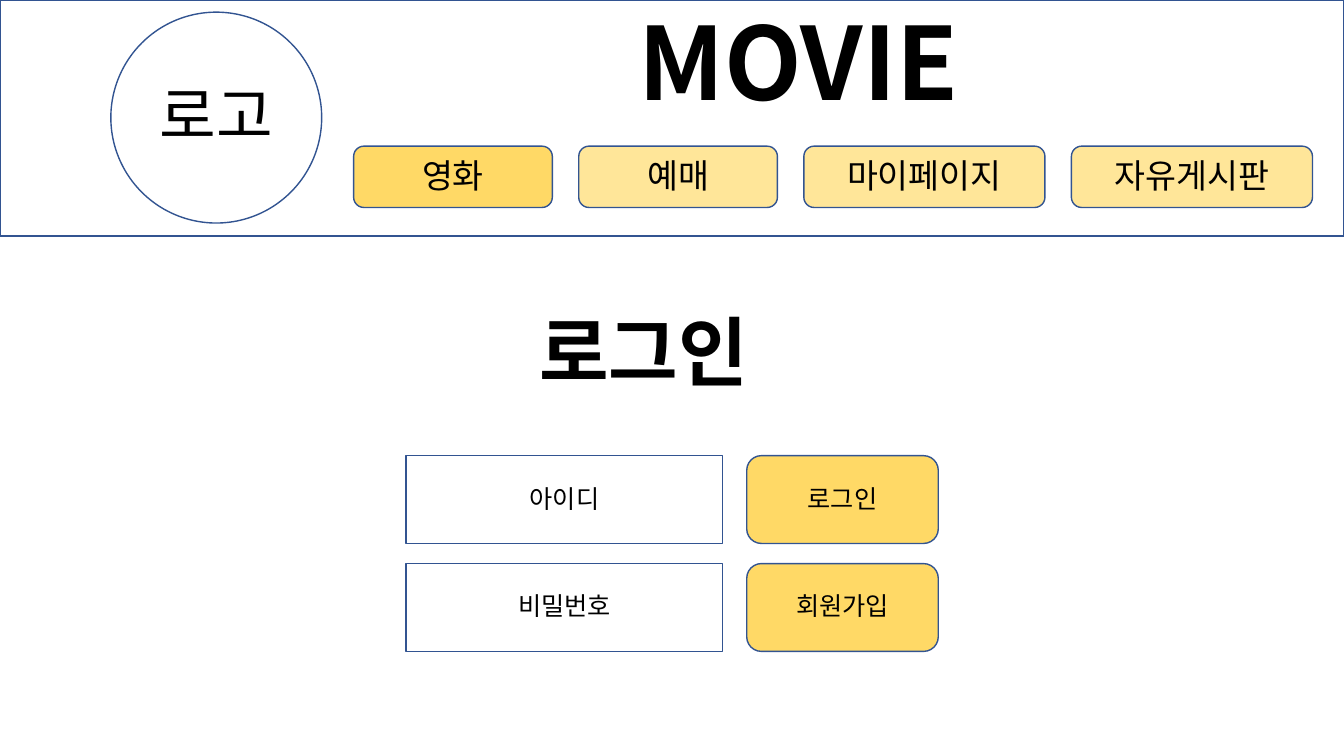
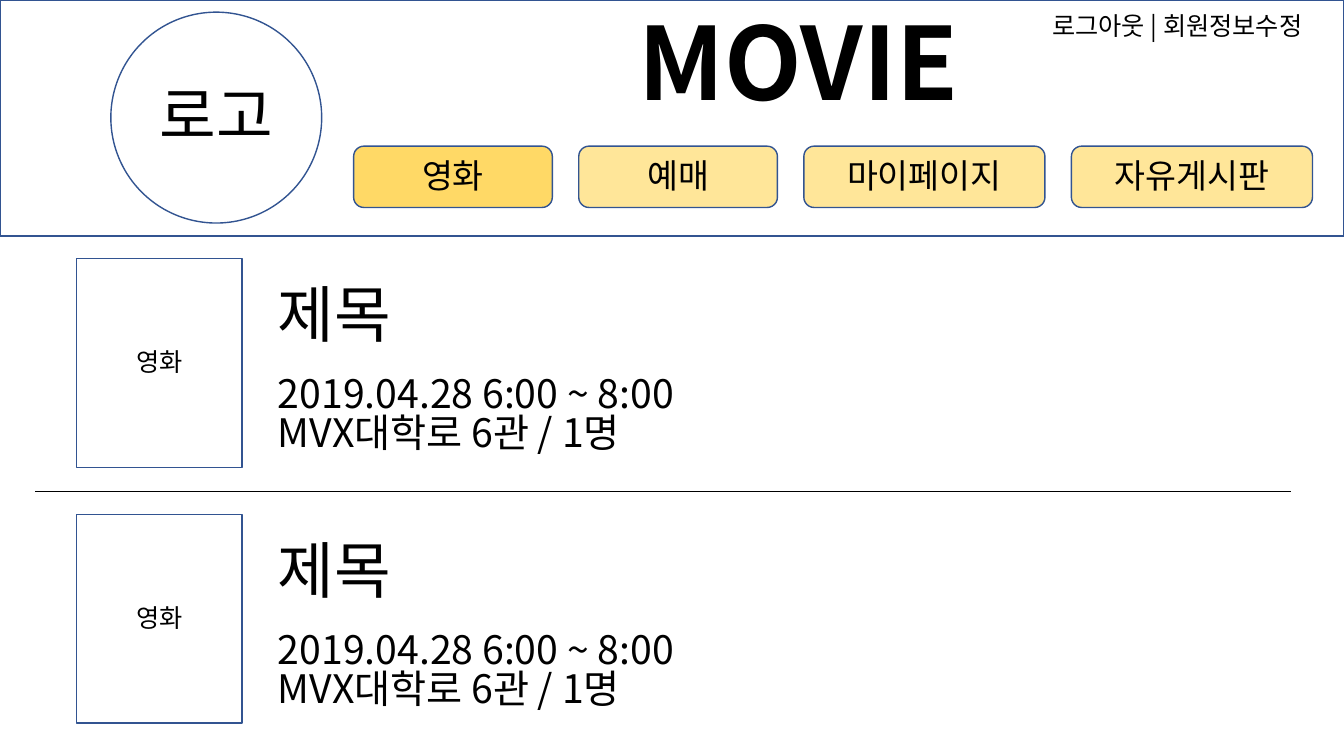
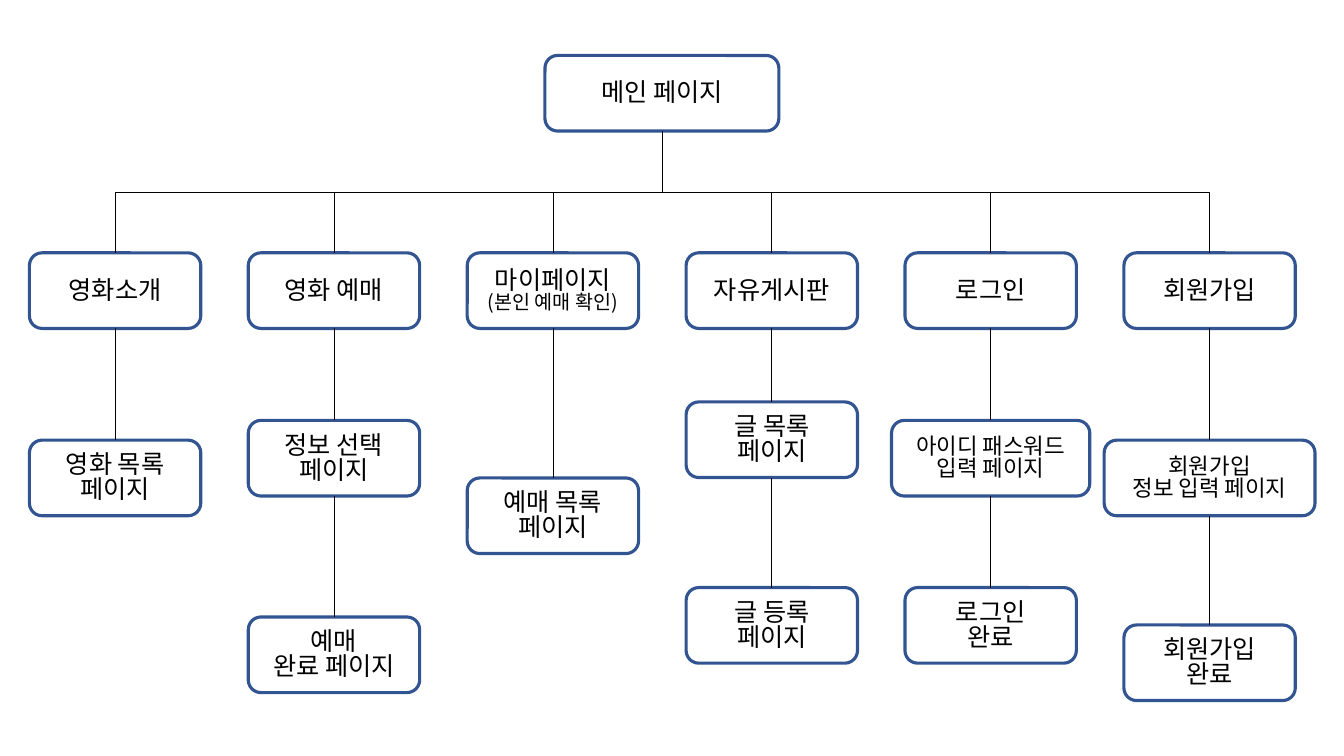
import dataclasses

import lxml.etree
import pptx
import pptx.dml.color
import pptx.enum.shapes
import pptx.enum.text
import pptx.oxml.ns
import pptx.util

SHAPE = pptx.enum.shapes.MSO_SHAPE
CONNECTOR = pptx.enum.shapes.MSO_CONNECTOR
ALIGN = pptx.enum.text.PP_ALIGN
ANCHOR = pptx.enum.text.MSO_ANCHOR
TOP, BOTTOM = 0, 2


@dataclasses.dataclass(frozen=True)
class Theme:
    font: str = "Noto Sans CJK KR"
    ink: str = "000000"
    outline: str = "325491"
    active: str = "FFD966"
    button: str = "FFE699"
    banner: int = 72
    title: int = 54
    heading: int = 44
    detail: int = 28
    menu: int = 24
    body: int = 18
    compact: int = 16
    note: int = 14
    thin: float = 0.5
    normal: float = 1
    thick: float = 2.25
    line_spacing: float = 0.83
    top_share: float = 0.07  # extra top margin per point of type


class Deck:
    """Draws on a grid of 160 columns by 90 rows."""

    def __init__(self, theme):
        self.theme = theme
        self.presentation = pptx.Presentation()
        self.presentation.slide_width = pptx.util.Inches(13.33)
        self.presentation.slide_height = pptx.util.Inches(7.5)
        self.column = self.presentation.slide_width / 160
        self.row = self.presentation.slide_height / 90
        self.slide = None

    def new_slide(self):
        self.slide = self.presentation.slides.add_slide(self.presentation.slide_layouts[6])

    def place(self, x, y, width, height):
        return [round(cells * unit) for cells, unit in
                zip((x, y, width, height), (self.column, self.row) * 2)]

    def color(self, value):
        return pptx.dml.color.RGBColor.from_string(value)

    def fill_text(self, shape, lines, size, align, anchor, bold=False):
        """Each line is a text, or a pair of text and size."""
        frame = shape.text_frame
        margin = pptx.util.Inches(0.05) + pptx.util.Pt(size * self.theme.top_share)
        for name, value in {"word_wrap": True, "vertical_anchor": anchor,
                            "margin_top": margin}.items():
            setattr(frame, name, value)
        for index, line in enumerate(lines):
            text, points = line if isinstance(line, tuple) else (line, size)
            paragraph = frame.add_paragraph() if index else frame.paragraphs[0]
            paragraph.alignment = align
            paragraph.line_spacing = self.theme.line_spacing
            run = paragraph.add_run()
            run.text = text
            for name, value in {"name": self.theme.font, "size": pptx.util.Pt(points),
                                "bold": bold}.items():
                setattr(run.font, name, value)
            run.font.color.rgb = self.color(self.theme.ink)
            east_asian = lxml.etree.SubElement(run.font._element, pptx.oxml.ns.qn("a:ea"))
            east_asian.set("typeface", self.theme.font)

    def box(self, place, lines=(), size=None, kind=SHAPE.RECTANGLE, fill=None, weight=None):
        shape = self.slide.shapes.add_shape(kind, *self.place(*place))
        shape.shadow.inherit = False
        if fill:
            shape.fill.solid()
            shape.fill.fore_color.rgb = self.color(fill)
        else:
            shape.fill.background()
        shape.line.color.rgb = self.color(self.theme.outline)
        shape.line.width = pptx.util.Pt(weight or self.theme.normal)
        self.fill_text(shape, lines, size or self.theme.body, ALIGN.CENTER, ANCHOR.MIDDLE)
        return shape

    def text(self, place, lines, size, bold=False):
        shape = self.slide.shapes.add_textbox(*self.place(*place))
        self.fill_text(shape, lines, size, ALIGN.LEFT, ANCHOR.TOP, bold)

    def line(self, x1=0, y1=0, x2=0, y2=0, kind=CONNECTOR.STRAIGHT):
        connector = self.slide.shapes.add_connector(kind, *self.place(x1, y1, x2, y2))
        connector.line.color.rgb = self.color(self.theme.ink)
        connector.line.width = pptx.util.Pt(self.theme.thin)
        lxml.etree.SubElement(connector._element.spPr, pptx.oxml.ns.qn("a:effectLst"))
        return connector

    def link(self, upper, lower, kind=CONNECTOR.STRAIGHT):
        connector = self.line(kind=kind)
        connector.begin_connect(upper, BOTTOM)
        connector.end_connect(lower, TOP)
        return connector

    def branch(self, parent, child):
        """Elbow that leaves downwards: a turned frame with its sides swapped."""
        connector = self.link(parent, child, CONNECTOR.ELBOW)
        start_x, start_y = parent.left + parent.width // 2, parent.top + parent.height
        end_x, end_y = child.left + child.width // 2, child.top
        width, height = end_y - start_y, abs(end_x - start_x)
        frame = {"left": (start_x + end_x - width) // 2,
                 "top": (start_y + end_y - height) // 2,
                 "width": width, "height": height}
        for name, value in frame.items():
            setattr(connector, name, value)
        rightwards = end_x > start_x
        turn = {"rot": str((270 if rightwards else 90) * 60000),
                "flipH": str(int(rightwards)), "flipV": "0"}
        for name, value in turn.items():
            connector._element.spPr.xfrm.set(name, value)

    def header(self):
        """Band, logo circle, banner and menu shared by the site's pages."""
        theme = self.theme
        self.box((0, 0, 160, 28.1))
        self.text((74.8, 1, 41.9, 11.3), ["MOVIE"], theme.banner, bold=True)
        self.box((13.2, 1.45, 25.1, 25.1), ["로고"], theme.heading, SHAPE.OVAL)
        x, gap = 42.1, 3.15
        for label, width, fill in (("영화", 23.65, theme.active), ("예매", 23.65, theme.button),
                                   ("마이페이지", 28.7, theme.button),
                                   ("자유게시판", 28.7, theme.button)):
            self.box((x, 17.4, width, 7.3), [label], theme.menu, SHAPE.ROUNDED_RECTANGLE, fill)
            x += width + gap

    def node(self, center, y, lines, width=20.4, size=None):
        return self.box((center - width / 2, y, width, 9), lines, size,
                        SHAPE.ROUNDED_RECTANGLE, weight=self.theme.thick)


def login_page(deck):
    deck.new_slide()
    deck.header()
    deck.text((63, 36.85, 29.65, 12.1), ["로그인"], deck.theme.title, bold=True)
    for index, (field, action) in enumerate((("아이디", "로그인"), ("비밀번호", "회원가입"))):
        y = 54.25 + index * 12.85
        deck.box((48.35, y, 37.7, 10.45), [field])
        deck.box((88.9, y, 22.8, 10.45), [action], kind=SHAPE.ROUNDED_RECTANGLE,
                 fill=deck.theme.active)


def booking_page(deck):
    theme = deck.theme
    deck.new_slide()
    deck.header()
    deck.text((124.1, 1, 35.5, 4.8), ["로그아웃 | 회원정보수정"], theme.body)
    deck.line(4.2, 58.45, 153.7, 58.45)
    for y in (30.8, 61.25):
        deck.box((9.1, y, 19.7, 24.85), ["영화"])
        deck.text((31.9, y + 2.4, 17.3, 10), ["제목"], theme.heading)
        deck.text((31.9, y + 13.2, 51.1, 12.5),
                  ["2019.04.28 6:00 ~ 8:00", "MVX대학로 6관 / 1명"], theme.detail)


def site_map(deck):
    theme = deck.theme
    deck.new_slide()
    root = deck.node(78.8, 6.6, ["메인 페이지"], 27.85)
    # Each section: its label, then the pages below it with their rows
    sections = (
        (["영화소개"], [(52.4, ["영화 목록", "페이지"])]),
        (["영화 예매"], [(50.05, ["정보 선택", "페이지"]), (73.45, ["예매", "완료 페이지"])]),
        (["마이페이지", ("(본인 예매 확인)", theme.note)], [(56.9, ["예매 목록", "페이지"])]),
        (["자유게시판"], [(47.85, ["글 목록", "페이지"]), (69.95, ["글 등록", "페이지"])]),
        (["로그인"], [(50.05, ["아이디 패스워드", "입력 페이지"], 23.6, theme.compact),
                   (69.95, ["로그인", "완료"])]),
        (["회원가입"], [(52.4, ["회원가입", "정보 입력 페이지"], 25.1, theme.compact),
                    (74.4, ["회원가입", "완료"])]),
    )
    for index, (label, pages) in enumerate(sections):
        center = 13.7 + index * 26.06
        upper = deck.node(center, 30.1, label)
        deck.branch(root, upper)
        for page in pages:
            lower = deck.node(center, *page)
            deck.link(upper, lower)
            upper = lower


def main():
    deck = Deck(Theme())
    for build in (login_page, booking_page, site_map):
        build(deck)
    deck.presentation.save("out.pptx")


if __name__ == "__main__":
    main()
